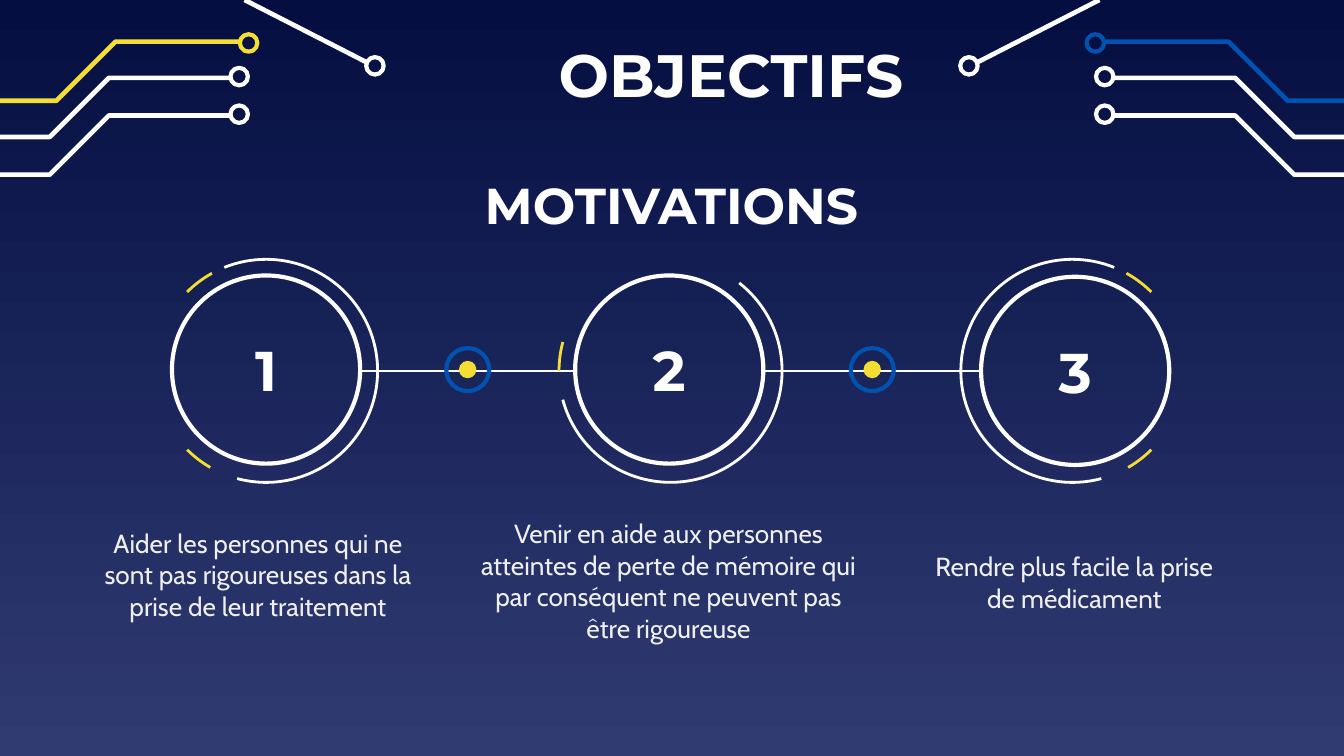
from pptx import Presentation
from pptx.dml.color import RGBColor
from pptx.enum.shapes import MSO_CONNECTOR, MSO_SHAPE
from pptx.enum.text import MSO_ANCHOR, PP_ALIGN
from pptx.oxml.ns import qn
from pptx.util import Inches, Pt
from lxml.etree import SubElement

# Content
HEADING = ("OBJECTIFS", (4.05, 0.23, 2.78, 0.64))
TITLE = ("MOTIVATIONS", (2.25, 1.26, 5.49, 0.52))
GOALS = [
    ("Aider les personnes qui ne sont pas rigoureuses dans la prise de leur traitement",
     (0.66, 3.7, 2.52, 1.15)),
    ("Venir en aide aux personnes atteintes de perte de mémoire qui par conséquent "
     "ne peuvent pas être rigoureuse", (3.47, 3.69, 3.01, 1.26)),
    ("Rendre plus facile la prise de médicament", (6.78, 3.88, 2.43, 0.9)),
]

# Colours and geometry
WHITE, YELLOW, BLUE, PALE = "FFFFFF", "F5DE34", "0152B1", "EFEFEF"
SLIDE_W = 10
SLIDE_H = SLIDE_W * 9 / 16
ROW_Y = 2.76
NODES = [(1.98, 2.75), (4.98, 2.75), (8, 2.76)]
NODE_D, ORBIT_D = 1.4, 1.66
# Per node: orbit centre and its arcs (colour, start, end), clockwise degrees from east
ORBITS = [
    ((1.98, 2.76), [(WHITE, 248, 105), (YELLOW, 225, 241), (YELLOW, 120, 135)]),
    ((4.99, 2.76), [(WHITE, 308, 165), (YELLOW, 180, 195)]),
    ((7.98, 2.76), [(WHITE, 75, 292), (YELLOW, 299, 315), (YELLOW, 45, 60)]),
]
LINKS = [(2.69, 4.28, 3.48), (5.68, 7.31, 6.49)]
# Circuit traces of the left corner: points, then centre of the end ring
ACCENT_TRACE = ([(0, 0.75), (0.42, 0.75), (0.86, 0.31), (1.78, 0.31)], (1.85, 0.32))
WHITE_TRACES = [
    ([(0, y), (0.37, y), (0.81, y - 0.44), (1.72, y - 0.44)], (1.78, y - 0.45))
    for y in (1.02, 1.3)
]
DIAGONAL = ([(1.82, 0), (2.74, 0.47)], (2.79, 0.49))


def rgb(value):
    return RGBColor.from_string(value)


def set_line(sp, color, width):
    sp.line.color.rgb = rgb(color)
    sp.line.width = Pt(width)


def add_outline(kind, center, size, color, width):
    x, y = center
    sp = s.shapes.add_shape(kind, Inches(x - size / 2), Inches(y - size / 2),
                            Inches(size), Inches(size))
    sp.shadow.inherit = False
    sp.fill.background()
    set_line(sp, color, width)
    return sp


def add_trace(points, color):
    start, *rest = [(Inches(x), Inches(y)) for x, y in points]
    builder = s.shapes.build_freeform(*start)
    builder.add_line_segments(rest, close=False)
    sp = builder.convert_to_shape()
    sp.shadow.inherit = False
    sp.fill.background()
    set_line(sp, color, 2.5)


def write(sp, text, size, color, font="Montserrat", bold=True, inset=0.1):
    tf = sp.text_frame
    tf.word_wrap = True
    tf.vertical_anchor = MSO_ANCHOR.MIDDLE
    tf.margin_left = tf.margin_right = Inches(0.1)
    tf.margin_top = tf.margin_bottom = Inches(inset)
    tf.text = text
    p = tf.paragraphs[0]
    p.alignment = PP_ALIGN.CENTER
    f = p.runs[0].font
    f.name, f.size, f.bold = font, Pt(size), bold
    f.color.rgb = rgb(color)


prs = Presentation()
prs.slide_width, prs.slide_height = Inches(SLIDE_W), Inches(SLIDE_H)
s = prs.slides.add_slide(prs.slide_layouts[5])

# Background
fill = s.background.fill
fill.gradient()
fill.gradient_angle = 270
for stop, color, position in zip(fill.gradient_stops, ("040E41", "303B72"), (0, 1)):
    stop.color.rgb = rgb(color)
    stop.position = position

# Circuit corners, the right one mirrored
for mirrored, accent in ((False, YELLOW), (True, BLUE)):
    traces = [(accent, ACCENT_TRACE)]
    traces += [(WHITE, trace) for trace in WHITE_TRACES + [DIAGONAL]]
    for color, (points, ring) in traces:
        *points, ring = [(SLIDE_W - x if mirrored else x, y) for x, y in points + [ring]]
        add_trace(points, color)
        add_outline(MSO_SHAPE.OVAL, ring, 0.13, color, 2.25)

# Links between the nodes, each with a ringed dot
for start, end, mid in LINKS:
    link = s.shapes.add_connector(MSO_CONNECTOR.STRAIGHT, Inches(start), Inches(ROW_Y),
                                  Inches(end), Inches(ROW_Y))
    set_line(link, WHITE, 1.5)
    SubElement(link._element.spPr, qn("a:effectLst"))
    add_outline(MSO_SHAPE.OVAL, (mid, 2.75), 0.32, BLUE, 2.25)
    dot = add_outline(MSO_SHAPE.OVAL, (mid, 2.75), 0.13, YELLOW, 0)
    dot.fill.solid()
    dot.fill.fore_color.rgb = rgb(YELLOW)
    dot.line.fill.background()

# Numbered nodes with their orbits
for number, (node, (center, arcs)) in enumerate(zip(NODES, ORBITS), 1):
    circle = add_outline(MSO_SHAPE.OVAL, node, NODE_D, WHITE, 2.25)
    write(circle, str(number), 30, WHITE)
    for color, start, end in arcs:
        arc = add_outline(MSO_SHAPE.ARC, center, ORBIT_D, color, 1.5)
        # Angles are stored in 60000ths of a degree, adjustments in 100000ths
        arc.adjustments[0] = start * 0.6
        arc.adjustments[1] = end * 0.6

# Title, heading and goals
title = s.shapes.title
title.left, title.top, title.width, title.height = map(Inches, TITLE[1])
write(title, TITLE[0], 27, WHITE)

heading = s.shapes.add_textbox(*map(Inches, HEADING[1]))
write(heading, HEADING[0], 32, WHITE, inset=0.05)

for text, box in GOALS:
    goal = s.shapes.add_textbox(*map(Inches, box))
    write(goal, text, 14, PALE, font="Cabin", bold=False)

prs.save("out.pptx")
